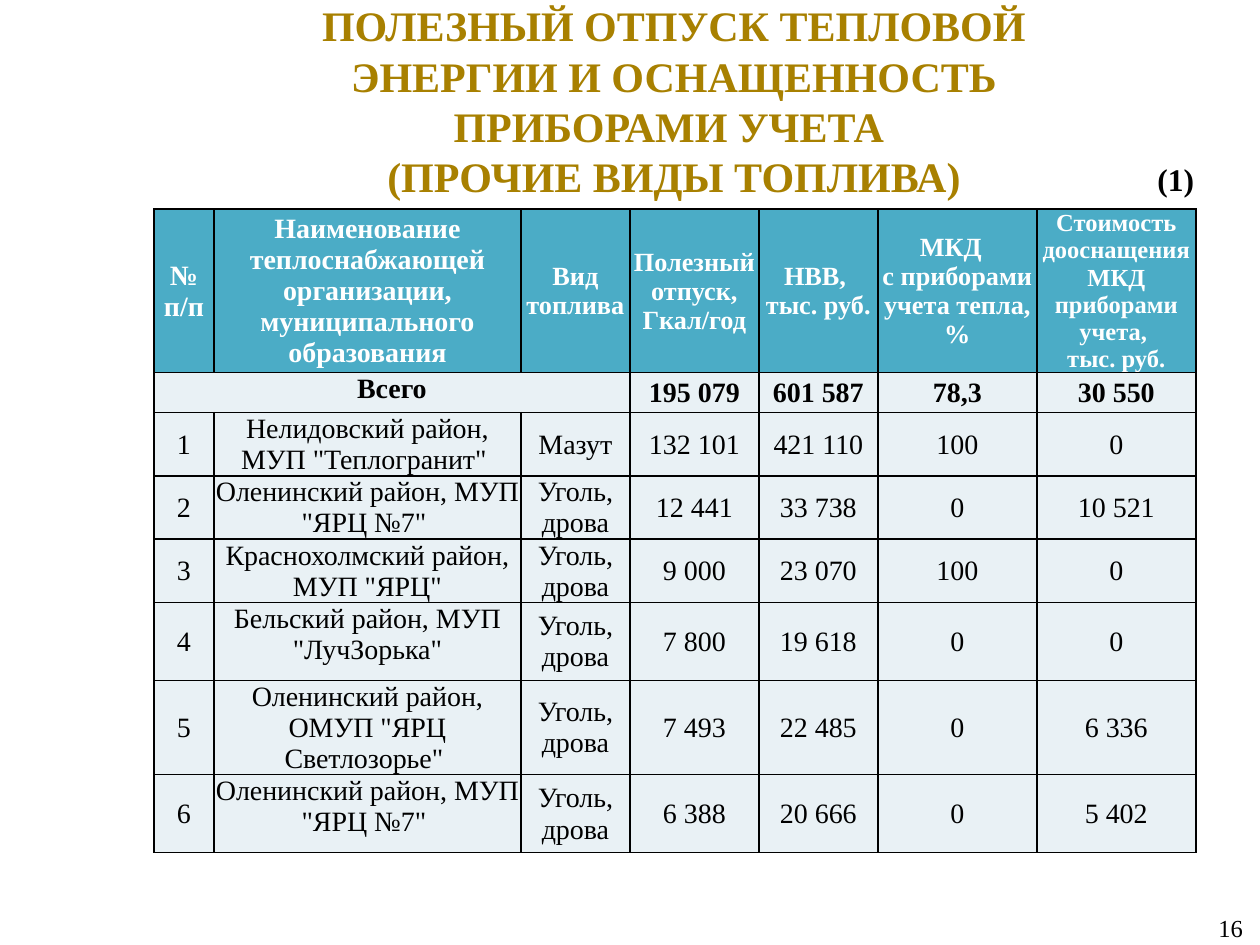
from pptx import Presentation
from pptx.dml.color import RGBColor
from pptx.enum.text import MSO_ANCHOR, PP_ALIGN
from pptx.oxml import parse_xml
from pptx.oxml.ns import nsdecls
from pptx.util import Pt

EMU_PER_PX = 914400 // 126
COLUMN_WIDTHS = [60, 307, 109, 129, 119, 159, 159]
ROW_HEIGHTS = [149] + [40] * 4 + [78] * 3
HEADER_SIZES = [16, 16, 15, 15, 15, 15, 14]
HEADERS = [
    "№ п/п",
    "Наименование теплоснабжающей организации, муниципального образования",
    "Вид топлива",
    "Полезный отпуск, Гкал/год",
    "НВВ, \nтыс. руб.",
    "МКД  \vс приборами учета тепла, %",
    "Стоимость дооснащения МКД приборами учета, \nтыс. руб.",
]
TOTALS = ["Всего", "", "", "195 079", "601 587", "78,3", "30 550"]
COAL = "Уголь, дрова"
SUPPLIERS = [
    ['Нелидовский район, МУП "Теплогранит" ', "Мазут", "132 101", "421 110", "100", "0"],
    ['Оленинский район, МУП "ЯРЦ №7" ', COAL, "12 441", "33 738", "0", "10 521"],
    ['Краснохолмский район, МУП "ЯРЦ"', COAL, "9 000", "23 070", "100", "0"],
    ['Бельский район, МУП "ЛучЗорька"', COAL, "7 800", "19 618", "0", "0"],
    ['Оленинский район, ОМУП "ЯРЦ Светлозорье" ', COAL, "7 493", "22 485", "0", "6 336"],
    ['Оленинский район, МУП "ЯРЦ №7" ', COAL, "6 388", "20 666", "0", "5 402"],
]


def px(length):
    return length * EMU_PER_PX


def color(value):
    return RGBColor.from_string(value)


def apply_format(target, values):
    for name, value in values.items():
        setattr(target, name, value)


def write_text(text_frame, text, size, font_color, bold, alignment, line_spacing=None):
    text_frame.text = text
    for paragraph in text_frame.paragraphs:
        apply_format(paragraph, {"alignment": alignment, "line_spacing": line_spacing})
        for run in paragraph.runs:
            apply_format(run.font, {"name": "Times New Roman", "size": Pt(size), "bold": bold})
            run.font.color.rgb = color(font_color)


def add_text(slide, box, text, size, font_color, bold, alignment, anchor, line_spacing=None):
    shape = slide.shapes.add_textbox(*map(px, box))
    apply_format(shape.text_frame, {"word_wrap": True, "vertical_anchor": anchor})
    write_text(shape.text_frame, text, size, font_color, bold, alignment, line_spacing)


def add_borders(cell):
    properties = cell._tc.get_or_add_tcPr()
    for position, side in enumerate(("lnL", "lnR", "lnT", "lnB")):
        border = parse_xml(
            f'<a:{side} {nsdecls("a")} w="12700"><a:solidFill>'
            f'<a:srgbClr val="000000"/></a:solidFill></a:{side}>'
        )
        properties.insert(position, border)


def format_cell(cell, text, size, font_color, bold, fill, anchor):
    write_text(cell.text_frame, text, size, font_color, bold, PP_ALIGN.CENTER)
    apply_format(cell, {
        "margin_left": px(1), "margin_right": px(1), "margin_top": px(1),
        "margin_bottom": 0, "vertical_anchor": anchor,
    })
    cell.fill.solid()
    cell.fill.fore_color.rgb = color(fill)
    add_borders(cell)


def add_supply_table(slide):
    rows = [HEADERS, TOTALS]
    rows += [[str(number)] + supplier for number, supplier in enumerate(SUPPLIERS, 1)]
    frame = slide.shapes.add_table(
        len(rows), len(HEADERS), px(154), px(209), px(1042), px(682)
    )
    table = frame.table
    apply_format(table, {"first_row": False, "horz_banding": False})
    for column, width in zip(table.columns, COLUMN_WIDTHS):
        column.width = px(width)
    for row, height in zip(table.rows, ROW_HEIGHTS):
        row.height = px(height)
    frame.height = px(682)
    for row_index, row in enumerate(rows):
        header = row_index == 0
        for column_index, text in enumerate(row):
            top_aligned = (row_index == 1 and column_index == 0) or (
                row_index > 1 and column_index == 1
            )
            format_cell(
                table.cell(row_index, column_index),
                text,
                HEADER_SIZES[column_index] if header else 16,
                "FFFFFF" if header else "000000",
                row_index < 2,
                "4BACC6" if header else "E9F1F5",
                MSO_ANCHOR.TOP if top_aligned else MSO_ANCHOR.MIDDLE,
            )
    table.cell(1, 0).merge(table.cell(1, 2))


def main():
    presentation = Presentation()
    apply_format(presentation, {"slide_width": px(1260), "slide_height": px(945)})
    slide = presentation.slides.add_slide(presentation.slide_layouts[6])
    add_supply_table(slide)
    add_text(slide, (1145, 154, 69, 50), "(1)", 18, "000000", True,
             PP_ALIGN.JUSTIFY, MSO_ANCHOR.TOP)
    add_text(slide, (203, 66, 942, 69),
             "ПОЛЕЗНЫЙ ОТПУСК ТЕПЛОВОЙ ЭНЕРГИИ И ОСНАЩЕННОСТЬ ПРИБОРАМИ УЧЕТА "
             "\v(ПРОЧИЕ ВИДЫ ТОПЛИВА)",
             24, "A88000", True, PP_ALIGN.CENTER, MSO_ANCHOR.MIDDLE, Pt(28.8))
    add_text(slide, (1206, 906, 54, 43), "16", 14, "000000", False,
             PP_ALIGN.LEFT, MSO_ANCHOR.MIDDLE)
    presentation.save("out.pptx")


if __name__ == "__main__":
    main()
